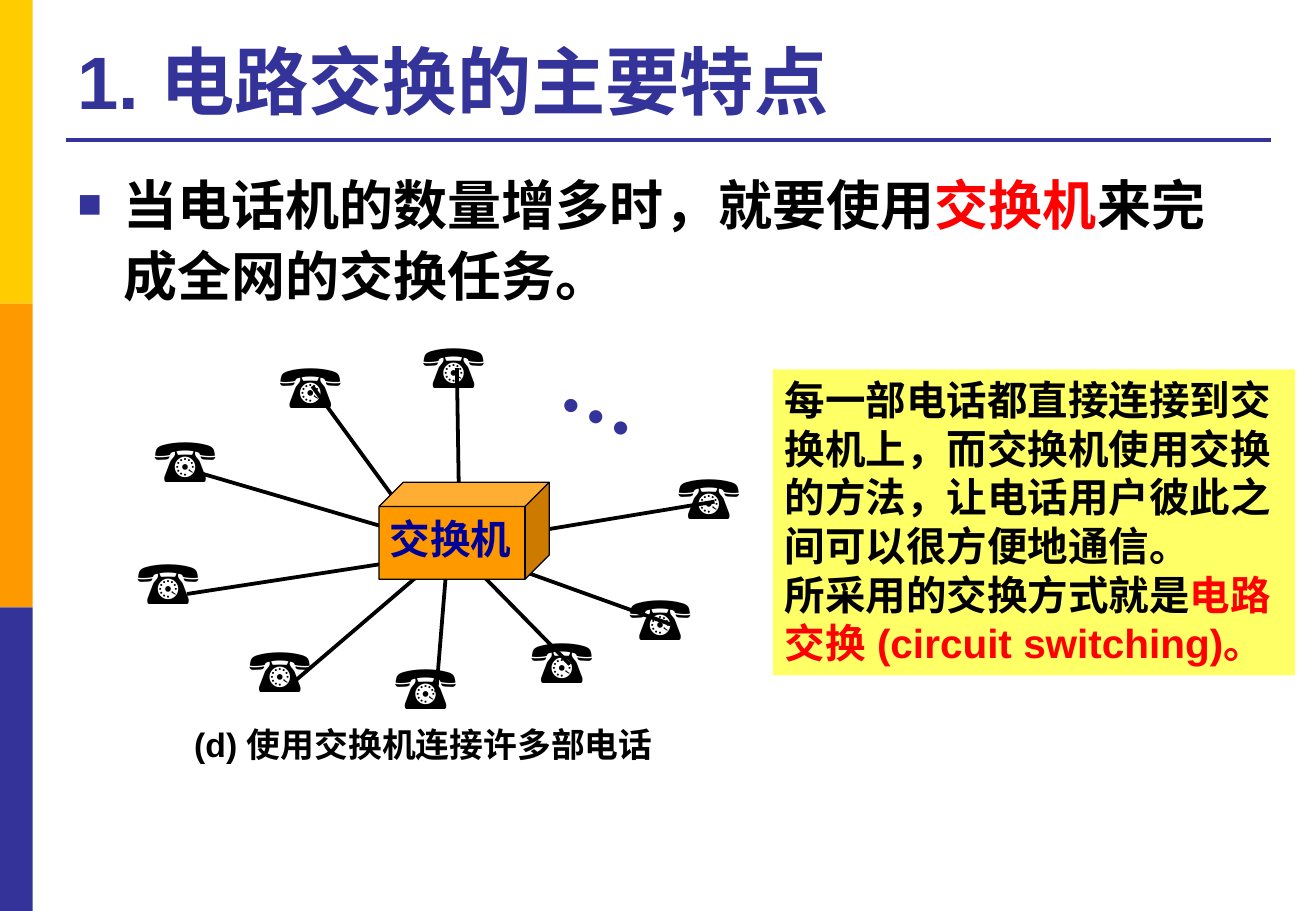
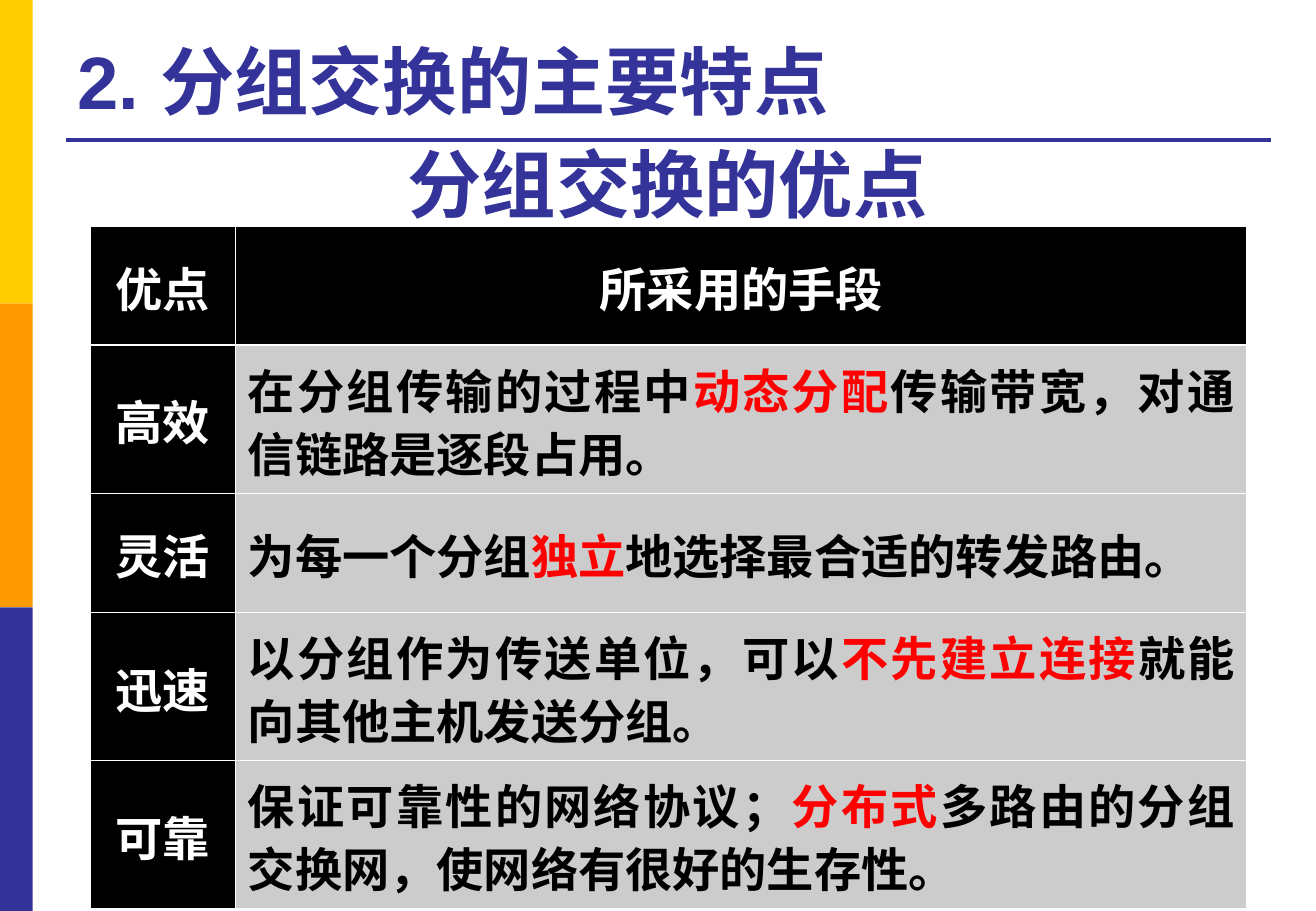
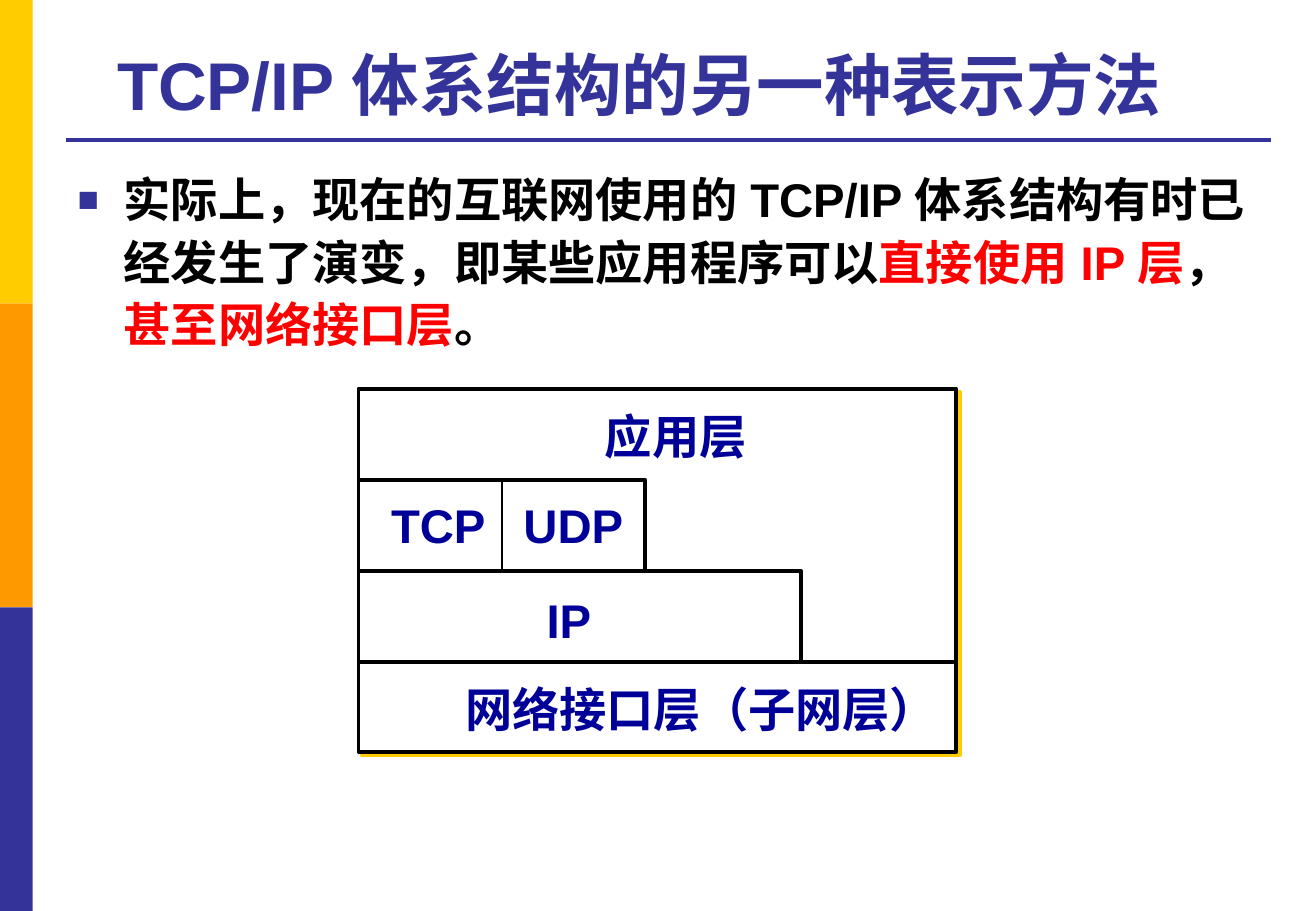
from dataclasses import dataclass
from typing import Any

from lxml.etree import SubElement
from pptx import Presentation
from pptx.dml.color import RGBColor
from pptx.enum.shapes import MSO_CONNECTOR, MSO_SHAPE
from pptx.enum.text import MSO_ANCHOR, MSO_AUTO_SIZE, PP_ALIGN
from pptx.oxml.ns import qn
from pptx.util import Inches, Pt

BLACK = RGBColor(0x00, 0x00, 0x00)
WHITE = RGBColor(0xFF, 0xFF, 0xFF)
GOLD = RGBColor(0xFF, 0xCC, 0x00)
ORANGE = RGBColor(0xFF, 0x99, 0x00)
INDIGO = RGBColor(0x33, 0x33, 0x99)
NAVY = RGBColor(0x00, 0x00, 0x99)
RED = RGBColor(0xFF, 0x00, 0x00)
LEMON = RGBColor(0xFF, 0xFF, 0x66)
GREY = RGBColor(0xCC, 0xCC, 0xCC)

SANS, SERIF = "Arial", "Times New Roman"
Point = tuple[float, float]
Box = tuple[float, float, float, float]


@dataclass
class Phone:
    """A telephone and the wire that joins it to the switch."""
    spot: Point
    wire: Point
    hub: Point


@dataclass
class Label:
    text: str
    box: Box


PHONES = [
    Phone((5.08, 4.72), (5.52, 5.14), (4.02, 4.6)),
    Phone((3.15, 5.29), (3.59, 5.7), (3.68, 4.6)),
    Phone((1.03, 4.43), (1.54, 4.89), (3.42, 4.6)),
    Phone((2.2, 2.81), (2.57, 3.18), (3.3, 4.18)),
    Phone((3.38, 2.65), (3.76, 3.03), (3.78, 4.29)),
    Phone((5.48, 3.73), (5.88, 4.13), (4.19, 4.41)),
    Phone((1.17, 3.42), (1.63, 3.89), (3.37, 4.4)),
    Phone((1.95, 5.15), (2.4, 5.63), (3.51, 4.68)),
    Phone((4.27, 5.08), (4.69, 5.47), (3.68, 4.44)),
]

ROWS = [
    ("优点", "所采用的手段"),
    ("高效", "在分组传输的过程中*动态分配*传输带宽，对通信链路是逐段占用。"),
    ("灵活", "为每一个分组*独立*地选择最合适的转发路由。"),
    ("迅速", "以分组作为传送单位，可以*不先建立连接*就能向其他主机发送分组。"),
    ("可靠", "保证可靠性的网络协议；*分布式*多路由的分组交换网，使网络有很好的生存性。"),
]

LAYERS = [
    Label("TCP", (3.12, 4.04, 1.02, 0.57)),
    Label("UDP", (4.21, 4.04, 1.04, 0.57)),
    Label("IP", (4.4, 4.82, 0.62, 0.57)),
    Label("应用层", (4.88, 3.3, 1.51, 0.57)),
    Label("网络接口层（子网层）", (3.73, 5.55, 4.53, 0.57)),
]


def write(frame: Any, text: str, *, size: float, color: RGBColor = BLACK,
          font: str = SANS, bold: bool = True, align: Any = PP_ALIGN.LEFT,
          anchor: Any = MSO_ANCHOR.TOP, wrap: bool = True, grow: bool = False,
          space: float | None = None, bullet: bool = False) -> None:
    """Fill a text frame; a line is a paragraph, and *starred* parts are red."""
    frame.word_wrap = wrap
    frame.vertical_anchor = anchor
    if grow:
        frame.auto_size = MSO_AUTO_SIZE.SHAPE_TO_FIT_TEXT
    for i, line in enumerate(text.split("\n")):
        para = frame.add_paragraph() if i else frame.paragraphs[0]
        para.alignment = align
        if space:
            para.line_spacing = space
        if bullet:
            mark(para)
        for j, part in enumerate(line.split("*")):
            if not part:
                continue
            run = para.add_run()
            run.text = part
            run.font.size, run.font.bold, run.font.name = Pt(size), bold, font
            run.font.color.rgb = RED if j % 2 else color
            SubElement(run.font._element, qn("a:ea"), typeface=SANS)


def mark(para: Any) -> None:
    """Give a paragraph a small square bullet and a hanging indent."""
    props = para._p.get_or_add_pPr()
    props.set("marL", str(Inches(0.38)))
    props.set("indent", str(-Inches(0.38)))
    tint = SubElement(props, qn("a:buClr"))
    SubElement(tint, qn("a:srgbClr"), val=str(INDIGO))
    SubElement(props, qn("a:buSzPct"), val="75000")
    SubElement(props, qn("a:buFont"), typeface=SANS)
    SubElement(props, qn("a:buChar"), char="■")


def label(shapes: Any, box: Box, text: str, turn: float = 0, **style: Any) -> None:
    area = shapes.add_textbox(*map(Inches, box))
    area.rotation = turn
    write(area.text_frame, text, **style)


def block(shapes: Any, box: Box, fill: RGBColor, line: float = 0,
          kind: Any = MSO_SHAPE.RECTANGLE) -> Any:
    shape = shapes.add_shape(kind, *map(Inches, box))
    shape.shadow.inherit = False
    shape.fill.solid()
    shape.fill.fore_color.rgb = fill
    if line:
        shape.line.color.rgb = BLACK
        shape.line.width = Pt(line)
    else:
        shape.line.fill.background()
    return shape


def rule(shapes: Any, start: Point, end: Point, color: RGBColor = BLACK,
         width: float = 2.25) -> None:
    line = shapes.add_connector(MSO_CONNECTOR.STRAIGHT, *map(Inches, start + end))
    line.line.color.rgb = color
    line.line.width = Pt(width)
    SubElement(line._element.spPr, qn("a:effectLst"))


def step(shapes: Any, left: float, top: float, right: float, low: float) -> None:
    """Draw the top and right edge of a layer."""
    path = shapes.build_freeform(Inches(left), Inches(top))
    path.add_line_segments([(Inches(right), Inches(top)),
                            (Inches(right), Inches(low))], close=False)
    shape = path.convert_to_shape()
    shape.shadow.inherit = False
    shape.fill.background()
    shape.line.color.rgb = BLACK
    shape.line.width = Pt(2.25)


def head(shapes: Any, text: str, *, top: float = 0.2, width: float = 9.91,
         size: float = 44, align: Any = PP_ALIGN.LEFT) -> None:
    label(shapes, (0.54, top, width, 0.87), text, size=size, color=INDIGO,
          align=align, anchor=MSO_ANCHOR.BOTTOM)


def body(shapes: Any, text: str, size: float) -> None:
    label(shapes, (0.54, 1.31, 9.91, 5.4), text, size=size, space=1.1, bullet=True)


def start(deck: Any) -> Any:
    """Add a slide with the side bands and title rule; return its shapes."""
    shapes = deck.slides.add_slide(deck.slide_layouts[6]).shapes
    for i, color in enumerate((GOLD, ORANGE, INDIGO)):
        block(shapes, (0, 2.5 * i, 0.27, 2.5), color)
    rule(shapes, (0.54, 1.15), (10.46, 1.15), INDIGO)
    return shapes


def edge(cell: Any) -> None:
    """Draw thin white borders; they must come before the cell's fill."""
    props = cell._tc.get_or_add_tcPr()
    for side in ("lnL", "lnR", "lnT", "lnB"):
        line = SubElement(props, qn(f"a:{side}"), w=str(Pt(1)))
        fill = SubElement(line, qn("a:solidFill"))
        SubElement(fill, qn("a:srgbClr"), val=str(WHITE))


def circuit(deck: Any) -> None:
    shapes = start(deck)
    head(shapes, "1. 电路交换的主要特点")
    body(shapes, "当电话机的数量增多时，就要使用*交换机*来完成全网的交换任务。", 32)
    label(shapes, (4.56, 2.79, 0.88, 0.91), "…", turn=24.3, size=48,
          color=INDIGO, font=SERIF, wrap=False, grow=True)
    for phone in PHONES:
        rule(shapes, phone.wire, phone.hub)
        label(shapes, phone.spot + (0.88, 0.71), "☎", size=36, font=SERIF,
              bold=False, wrap=False, grow=True)
    block(shapes, (3.12, 3.97, 1.4, 0.8), ORANGE, 0.75, MSO_SHAPE.CUBE)
    label(shapes, (3.11, 4.18, 1.21, 0.5), "交换机", size=24, color=NAVY,
          font=SERIF, wrap=False, grow=True)
    note = block(shapes, (6.36, 3.04, 4.3, 2.52), LEMON)
    note.text_frame.margin_right = Inches(0.02)
    write(note.text_frame,
          "每一部电话都直接连接到交换机上，而交换机使用交换的方法，"
          "让电话用户彼此之间可以很方便地通信。\n"
          "所采用的交换方式就是*电路交换 (circuit switching)。*", size=24, grow=True)
    label(shapes, (1.21, 5.91, 4.55, 0.44), "(d) 使用交换机连接许多部电话",
          size=20, align=PP_ALIGN.CENTER, grow=True)


def packet(deck: Any) -> None:
    shapes = start(deck)
    head(shapes, "2. 分组交换的主要特点")
    widths, height = (1.2, 8.32), 0.98
    table = shapes.add_table(len(ROWS), len(widths), Inches(0.74), Inches(1.86),
                             Inches(sum(widths)), Inches(height * len(ROWS))).table
    for col, width in zip(table.columns, widths):
        col.width = Inches(width)
    for i, row in enumerate(ROWS):
        table.rows[i].height = Inches(height)
        for j, text in enumerate(row):
            cell = table.cell(i, j)
            dark = i == 0 or j == 0
            edge(cell)
            cell.fill.solid()
            cell.fill.fore_color.rgb = BLACK if dark else GREY
            cell.vertical_anchor = MSO_ANCHOR.MIDDLE
            write(cell.text_frame, text, size=28, color=WHITE if dark else BLACK,
                  align=PP_ALIGN.CENTER if dark else PP_ALIGN.JUSTIFY,
                  anchor=MSO_ANCHOR.MIDDLE, space=1.2)
    head(shapes, "分组交换的优点", top=1.05, align=PP_ALIGN.CENTER)


def stack(deck: Any) -> None:
    shapes = start(deck)
    head(shapes, "TCP/IP 体系结构的另一种表示方法", width=9.44, size=40,
         align=PP_ALIGN.CENTER)
    body(shapes, "实际上，现在的互联网使用的 TCP/IP 体系结构有时已经发生了演变，"
         "即某些应用程序可以*直接使用 IP 层*，*甚至网络接口层*。", 28)
    parts = shapes.add_group_shape().shapes
    left, top, width, pitch = 2.95, 3.2, 4.92, 0.75
    frame = block(parts, (left, top, width, 2.99), WHITE, 2.25)
    glow = SubElement(frame._element.spPr.find(qn("a:effectLst")),
                      qn("a:outerShdw"), dist=str(Pt(2.8)), dir="2700000",
                      algn="ctr", rotWithShape="0")
    SubElement(glow, qn("a:srgbClr"), val=str(GOLD))
    tcp, ip, net = (top + pitch * n for n in (1, 2, 3))
    rule(parts, (left, net), (left + width, net))
    step(parts, left, ip, 6.59, net)
    step(parts, left, tcp, 5.31, ip)
    rule(parts, (4.13, tcp), (4.13, ip), width=1.5)
    for layer in LAYERS:
        label(parts, layer.box, layer.text, size=28, color=NAVY, wrap=False, grow=True)


def main() -> None:
    deck = Presentation()
    deck.slide_width, deck.slide_height = Inches(10.83), Inches(7.5)
    for build in (circuit, packet, stack):
        build(deck)
    deck.save("out.pptx")


if __name__ == "__main__":
    main()
